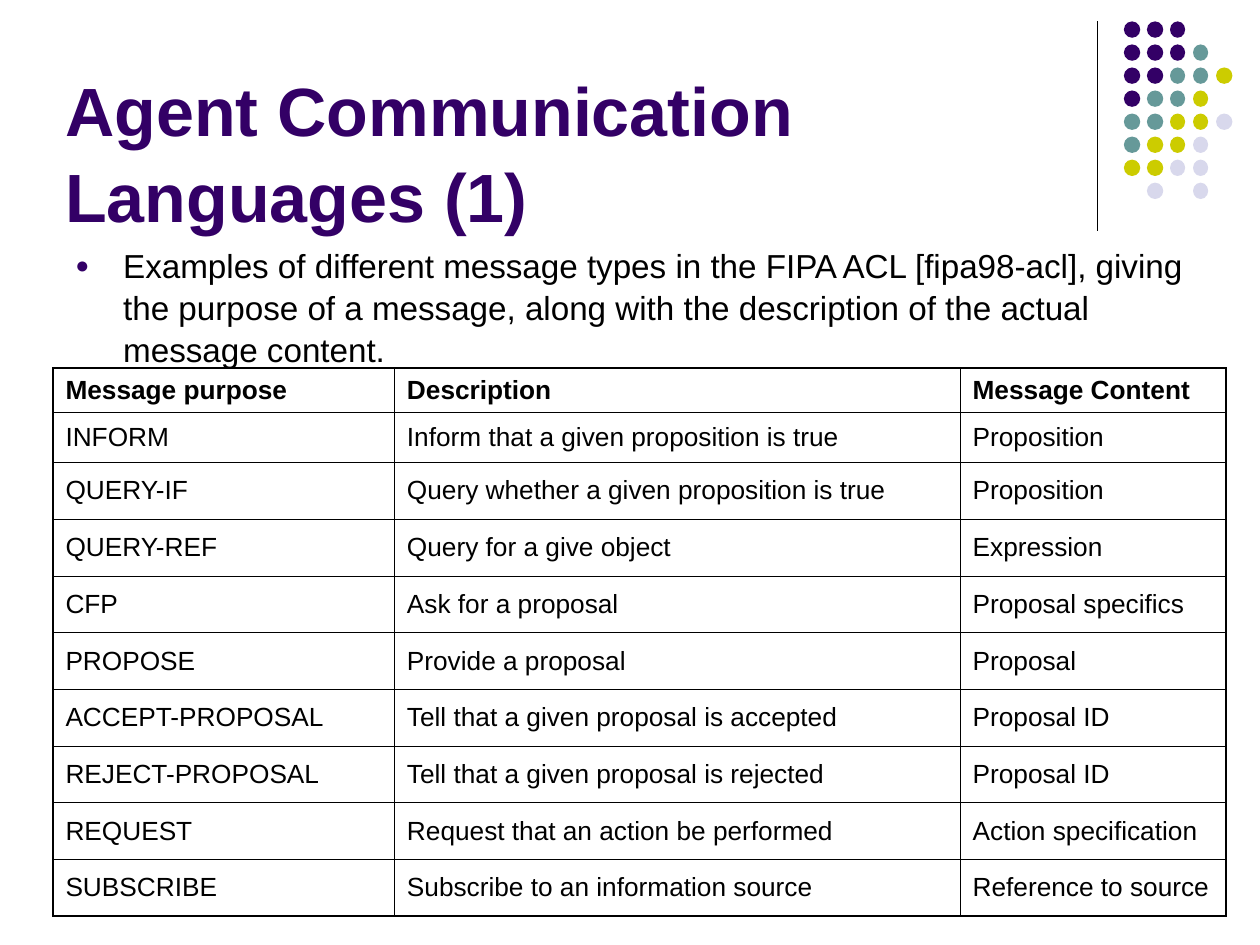
"""Build the slide on agent communication languages and FIPA ACL message types."""
import pptx
import pptx.dml.color
import pptx.enum.shapes
import pptx.enum.text
import pptx.oxml
import pptx.oxml.ns
import pptx.util
from lxml import etree

Inches = pptx.util.Inches
Pt = pptx.util.Pt
RGBColor = pptx.dml.color.RGBColor
Anchor = pptx.enum.text.MSO_ANCHOR
PURPLE = RGBColor(0x33, 0x00, 0x66)
TEAL = RGBColor(0x66, 0x99, 0x99)
OLIVE = RGBColor(0xCC, 0xCC, 0x00)
LAVENDER = RGBColor(0xD8, 0xD8, 0xEC)
BLACK = RGBColor(0x00, 0x00, 0x00)
NAMESPACE = pptx.oxml.ns.nsdecls("a")


def write(frame, text, color, spacing, **font_format):
    """Fill a text frame with one formatted paragraph and return it."""
    frame.word_wrap = True
    para = frame.paragraphs[0]
    for name, value in spacing.items():
        setattr(para, name, value)
    span = para.add_run()
    span.text = text
    for name, value in {"name": "Arial", **font_format}.items():
        setattr(span.font, name, value)
    span.font.color.rgb = color
    return para


deck = pptx.Presentation()
deck.slide_width, deck.slide_height = Inches(10), Inches(7.5)
page = deck.slides.add_slide(deck.slide_layouts[6])

divider = page.shapes.add_connector(
    pptx.enum.shapes.MSO_CONNECTOR.STRAIGHT,
    Inches(8.71), Inches(0.17), Inches(8.71), Inches(1.83))
divider.line.color.rgb = BLACK
divider.line.width = Pt(0.74)
etree.SubElement(divider.element.spPr, pptx.oxml.ns.qn("a:effectLst"))

dot_colors = {"P": PURPLE, "T": TEAL, "O": OLIVE, "L": LAVENDER}
dot_rows = ["PPP", "PPPT", "PPTTO", "PTTO", "TTOOL", "TOOL", "OOLL", ".L.L"]
dot_step = 1.28 / 7
dots = page.shapes.add_group_shape()
for row, pattern in enumerate(dot_rows):
    for column, key in enumerate(pattern):
        if key not in dot_colors:
            continue
        dot = dots.shapes.add_shape(
            pptx.enum.shapes.MSO_SHAPE.OVAL,
            Inches(8.92 + column * dot_step), Inches(0.17 + row * dot_step),
            Inches(0.12 if column in (2, 3) else 0.13), Inches(0.13))
        dot.shadow.inherit = False
        dot.fill.solid()
        dot.fill.fore_color.rgb = dot_colors[key]
        dot.line.fill.background()

title = page.shapes.add_textbox(Inches(0.42), Inches(0.5), Inches(8.25), Inches(1.42))
title.text_frame.vertical_anchor = Anchor.BOTTOM
write(title.text_frame, "Agent Communication Languages (1)", PURPLE,
      {"line_spacing": 1.05}, size=Pt(39), bold=True)

body = page.shapes.add_textbox(Inches(0.5), Inches(1.88), Inches(9), Inches(4.82))
bullet = write(
    body.text_frame,
    "Examples of different message types in the FIPA ACL [fipa98-acl], giving the purpose "
    "of a message, along with the description of the actual message content.",
    BLACK, {"line_spacing": 1.05, "space_before": Pt(4.8)}, size=Pt(19))
properties = bullet._p.get_or_add_pPr()
properties.set("marL", str(Inches(0.38)))
properties.set("indent", str(-Inches(0.38)))
for tag in (f'<a:buClr {NAMESPACE}><a:srgbClr val="{PURPLE}"/></a:buClr>',
            f'<a:buSzPct {NAMESPACE} val="70000"/>',
            f'<a:buFont {NAMESPACE} typeface="Arial"/>',
            f'<a:buChar {NAMESPACE} char="●"/>'):
    properties.append(pptx.oxml.parse_xml(tag))

messages = [
    ("Message purpose", "Description", "Message Content"),
    ("INFORM", "Inform that a given proposition is true", "Proposition"),
    ("QUERY-IF", "Query whether a given proposition is true", "Proposition"),
    ("QUERY-REF", "Query for a give object", "Expression"),
    ("CFP", "Ask for a proposal", "Proposal specifics"),
    ("PROPOSE", "Provide a proposal", "Proposal"),
    ("ACCEPT-PROPOSAL", "Tell that a given proposal is accepted", "Proposal ID"),
    ("REJECT-PROPOSAL", "Tell that a given proposal is rejected", "Proposal ID"),
    ("REQUEST", "Request that an action be performed", "Action specification"),
    ("SUBSCRIBE", "Subscribe to an information source", "Reference to source"),
]
column_widths = [2.71, 4.49, 2.11]
row_heights = [0.35, 0.4] + [0.45] * 8
last_row, last_column = len(messages) - 1, len(column_widths) - 1
table = page.shapes.add_table(
    len(messages), len(column_widths), Inches(0.42), Inches(2.92),
    Inches(sum(column_widths)), Inches(sum(row_heights))).table
table.horz_banding = False
for column, width in enumerate(column_widths):
    table.columns[column].width = Inches(width)
for row, texts in enumerate(messages):
    table.rows[row].height = Inches(row_heights[row])
    for column, text in enumerate(texts):
        cell = table.cell(row, column)
        cell.vertical_anchor = Anchor.MIDDLE
        write(cell.text_frame, text, BLACK, {"space_before": Pt(3.7)},
              size=Pt(15), bold=row == 0)
        outer_edges = {"lnL": column == 0, "lnR": column == last_column,
                       "lnT": row == 0, "lnB": row == last_row}
        cell_properties = cell._tc.get_or_add_tcPr()
        for edge, is_outer in outer_edges.items():
            width = Pt(1.08 if is_outer else 0.45)
            cell_properties.append(pptx.oxml.parse_xml(
                f'<a:{edge} {NAMESPACE} w="{width}"><a:solidFill>'
                f'<a:srgbClr val="{BLACK}"/></a:solidFill></a:{edge}>'))
        cell.fill.background()

deck.save("out.pptx")
